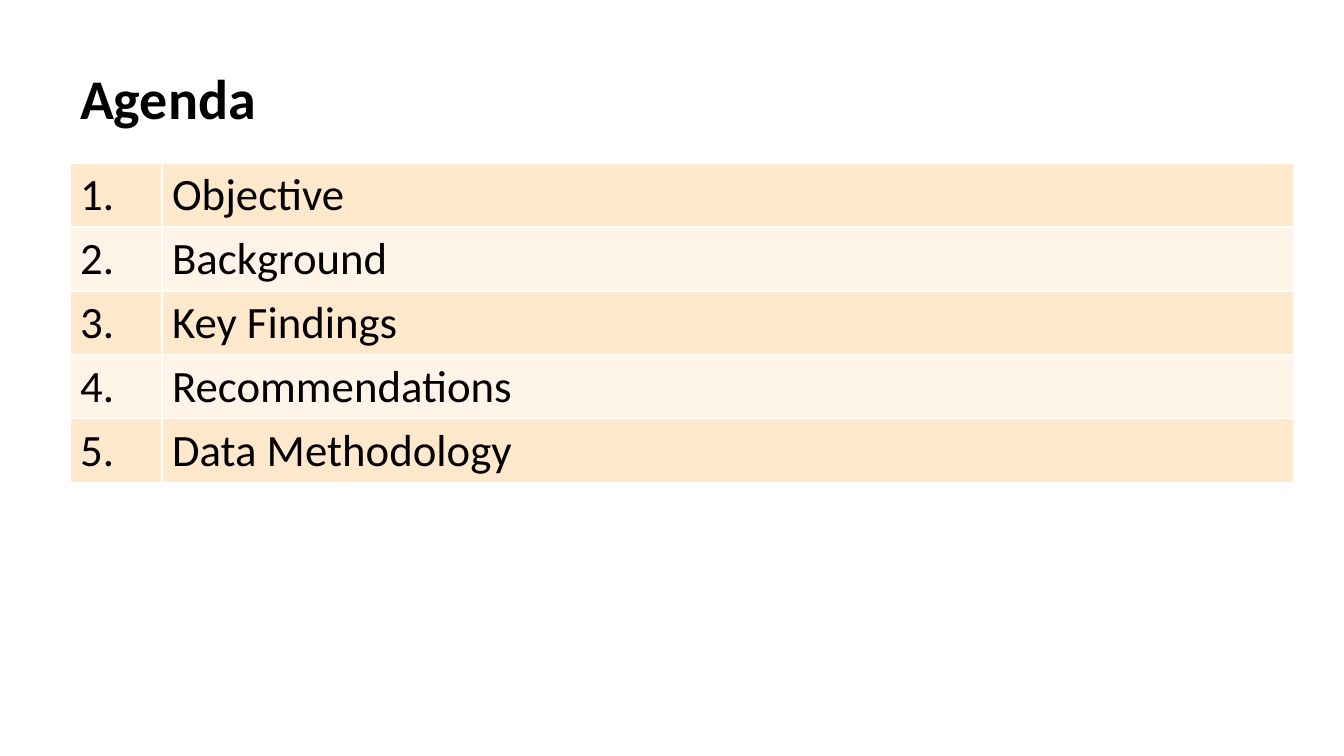
from lxml import etree
from pptx import Presentation
from pptx.dml.color import RGBColor
from pptx.enum.text import MSO_ANCHOR, MSO_AUTO_SIZE, PP_ALIGN
from pptx.oxml.ns import qn
from pptx.util import Pt

LEFT = PP_ALIGN.LEFT
TOP = MSO_ANCHOR.TOP
GROW = MSO_AUTO_SIZE.SHAPE_TO_FIT_TEXT

FONT = "Calibri"
COLORS = {"text": "000000", "line": "FFFFFF", "dark": "FFE8CC", "light": "FFF4E7"}
TOPICS = ["Objective", "Background", "Key Findings", "Recommendations",
          "Data Methodology"]


def px(n):
    """Turn pixels (100.8 to the inch) into EMU."""
    return round(n * 914400 / 100.8)


def rgb(name):
    return RGBColor.from_string(COLORS[name])


def add_run(para, text, size, bold=False):
    para.alignment = LEFT
    run = para.add_run()
    run.text = text
    font = run.font
    font.name, font.size, font.bold = FONT, Pt(size), bold
    font.color.rgb = rgb("text")


def add_edges(cell):
    props = cell._tc.get_or_add_tcPr()
    for tag in ("a:lnL", "a:lnR", "a:lnT", "a:lnB"):
        line = etree.SubElement(props, qn(tag), w=str(Pt(1)))
        fill = etree.SubElement(line, qn("a:solidFill"))
        etree.SubElement(fill, qn("a:srgbClr"), val=COLORS["line"])


def add_title(slide, text, x, y, w, h):
    title = slide.shapes.title
    title.left, title.top, title.width, title.height = map(px, (x, y, w, h))
    frame = title.text_frame
    frame.word_wrap = False
    frame.auto_size = GROW
    frame.vertical_anchor = TOP
    add_run(frame.paragraphs[0], text, 40, bold=True)


def add_agenda(slide, topics, x, y, w, h):
    box = map(px, (x, y, w, h))
    table = slide.shapes.add_table(len(topics), 2, *box).table
    table.first_row = False
    num = 92
    table.columns[0].width = px(num)
    table.columns[1].width = px(w - num)
    for i, topic in enumerate(topics):
        table.rows[i].height = px(h // len(topics))
        for cell, text in zip(table.rows[i].cells, (f"{i + 1}.", topic)):
            add_edges(cell)
            cell.fill.solid()
            cell.fill.fore_color.rgb = rgb("light" if i % 2 else "dark")
            add_run(cell.text_frame.paragraphs[0], text, 32)


def main():
    deck = Presentation()
    deck.slide_width, deck.slide_height = px(1344), px(756)
    slide = deck.slides.add_slide(deck.slide_layouts[5])

    # Heading
    add_title(slide, "Agenda", 70, 58, 197, 78)

    # Numbered topics
    add_agenda(slide, TOPICS, 70, 163, 1224, 320)

    deck.save("out.pptx")


if __name__ == "__main__":
    main()
